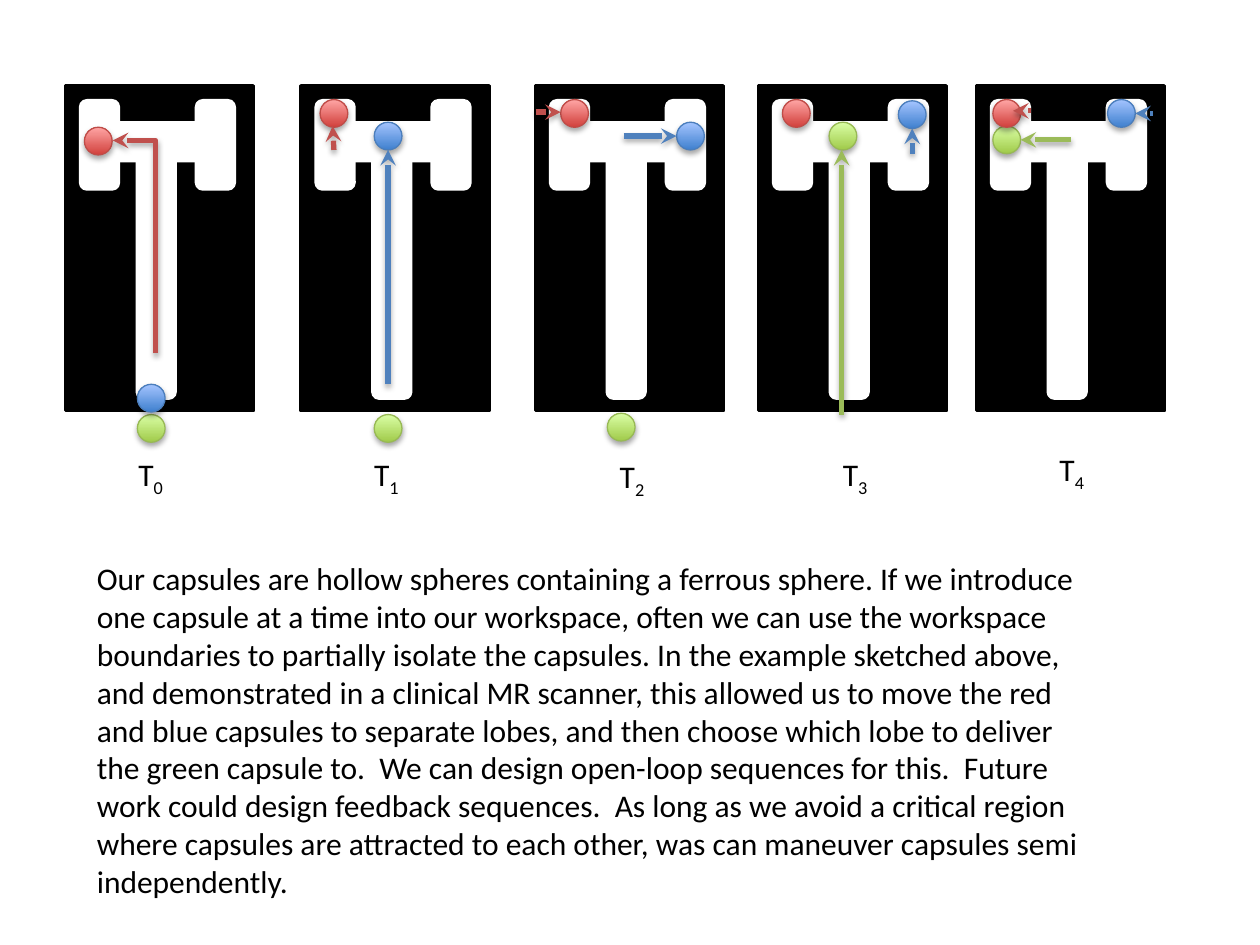
from lxml import etree
from pptx import Presentation
from pptx.dml.color import RGBColor
from pptx.enum.shapes import MSO_CONNECTOR, MSO_SHAPE
from pptx.enum.text import MSO_AUTO_SIZE
from pptx.oxml.ns import qn
from pptx.util import Inches, Pt

RECT, ROUND, OVAL = MSO_SHAPE.RECTANGLE, MSO_SHAPE.ROUNDED_RECTANGLE, MSO_SHAPE.OVAL
STRAIGHT, ELBOW = MSO_CONNECTOR.STRAIGHT, MSO_CONNECTOR.ELBOW
FIT = MSO_AUTO_SIZE.SHAPE_TO_FIT_TEXT

COLORS = {
    "black": "000000", "white": "FFFFFF",
    "red": "C0504D", "red low": "D1403C", "red high": "FFA6A5", "red edge": "BF4C48",
    "blue": "4F81BD", "blue low": "3F80CE", "blue high": "A4C4FF", "blue edge": "4B7EBC",
    "green": "9BBB59", "green low": "A0CA4A", "green high": "DAFFA5", "green edge": "98B955",
}
TOP, WIDE, HIGH, BALL = 0.68, 1.49, 2.58, 0.22

# Channels of the T maze: left, top, width, height, turn
CHANNELS = [
    (0.57, 0.3, 0.3, 2.18, 0),
    (0.54, -0.1, 0.3, 1.09, 90),
    (1.04, 0.12, 0.3, 0.7, 0),
    (0.12, 0.12, 0.3, 0.7, 0),
]

# Steps, all measured from the corner of each maze
STEPS = [
    dict(left=0.52, label=(0.48, 2.88),
         balls=[("red", 0.15, 0.33), ("green", 0.57, 2.61), ("blue", 0.57, 2.37)],
         moves=[]),
    dict(left=2.39, label=(0.48, 2.88),
         balls=[("green", 0.58, 2.61), ("blue", 0.58, 0.29), ("red", 0.15, 0.11)],
         moves=[("red", 0.26, 0.51, 0.25, 0.32), ("blue", 0.69, 2.37, 0.69, 0.51)]),
    dict(left=4.25, label=(0.57, 2.9),
         balls=[("green", 0.57, 2.6), ("blue", 1.12, 0.29), ("red", 0.2, 0.11)],
         moves=[("blue", 0.7, 0.4, 1.12, 0.4), ("red", 0, 0.21, 0.2, 0.21)]),
    dict(left=6.02, label=(0.57, 2.88),
         balls=[("green", 0.56, 0.29), ("blue", 1.11, 0.12), ("red", 0.19, 0.11)],
         moves=[("blue", 1.22, 0.54, 1.22, 0.34), ("green", 0.66, 2.61, 0.66, 0.51)]),
    dict(left=7.75, label=(0.56, 2.84),
         balls=[("green", 0.13, 0.32), ("blue", 1.04, 0.11), ("red", 0.13, 0.11)],
         moves=[("blue", 1.4, 0.22, 1.26, 0.22), ("red", 0.43, 0.2, 0.29, 0.2),
                ("green", 0.75, 0.43, 0.35, 0.43)]),
]

BODY = (
    "Our capsules are hollow spheres containing a ferrous sphere. If we introduce one "
    "capsule at a time into our workspace, often we can use the workspace boundaries to "
    "partially isolate the capsules. In the example sketched above, and demonstrated in a "
    "clinical MR scanner, this allowed us to move the red and blue capsules to separate "
    "lobes, and then choose which lobe to deliver the green capsule to.  We can design "
    "open-loop sequences for this.  Future work could design feedback sequences.  As long "
    "as we avoid a critical region where capsules are attracted to each other, was can "
    "maneuver capsules semi independently."
)


def rgb(name):
    return RGBColor.from_string(COLORS[name])


def stroke(item, color, width):
    item.line.color.rgb = rgb(color)
    item.line.width = Pt(width)


def shade(item):
    """Give a shape or connector a soft drop shadow."""
    props = item._element.spPr
    effects = props.find(qn("a:effectLst"))
    if effects is None:
        effects = etree.SubElement(props, qn("a:effectLst"))
    drop = etree.SubElement(effects, qn("a:outerShdw"), blurRad="40000", dist="23000",
                            dir="5400000", rotWithShape="0")
    tint = etree.SubElement(drop, qn("a:srgbClr"), val=COLORS["black"])
    etree.SubElement(tint, qn("a:alpha"), val="35000")


def block(shapes, kind, box, color, turn=0):
    item = shapes.add_shape(kind, *map(Inches, box))
    item.shadow.inherit = False
    item.fill.solid()
    item.fill.fore_color.rgb = rgb(color)
    stroke(item, color, 2)
    item.rotation = turn


def maze(slide, left, top):
    shapes = slide.shapes.add_group_shape().shapes
    block(shapes, RECT, (left, top, WIDE, HIGH), "black")
    for x, y, wide, high, turn in CHANNELS:
        block(shapes, ROUND, (left + x, top + y, wide, high), "white", turn)


def ball(slide, color, left, top):
    item = slide.shapes.add_shape(OVAL, *map(Inches, (left, top, BALL, BALL)))
    item.shadow.inherit = False
    item.fill.gradient()
    item.fill.gradient_angle = 90
    for stop, tone in zip(item.fill.gradient_stops, ("low", "high")):
        stop.color.rgb = rgb(f"{color} {tone}")
    stroke(item, f"{color} edge", 0.75)
    shade(item)


def arrow(slide, color, ends, kind=STRAIGHT):
    item = slide.shapes.add_connector(kind, *map(Inches, ends))
    stroke(item, color, 3)
    etree.SubElement(item.line._get_or_add_ln(), qn("a:tailEnd"), type="stealth")
    shade(item)
    return item


def bend(slide, left, top):
    """Arrow up the stem and left into the lobe: one elbow, turned upright."""
    ends = (left - 0.3, top + 1.45, left + 1.39, top + 1.11)
    props = arrow(slide, "red", ends, ELBOW)._element.spPr
    props.find(qn("a:prstGeom")).set("prst", "bentConnector2")
    props.find(qn("a:xfrm")).set("rot", "16200000")


def write(slide, text, box, sub="", size=18, wrap=True):
    frame = slide.shapes.add_textbox(*map(Inches, box)).text_frame
    frame.word_wrap = wrap
    frame.auto_size = FIT
    for part in filter(None, (text, sub)):
        run = frame.paragraphs[0].add_run()
        run.text = part
        run.font.name = "Calibri"
        run.font.size = Pt(size)
        run.font.color.rgb = rgb("black")
    if sub:
        run.font._element.set("baseline", "-25000")


def step(slide, index, left, top, label, balls, moves):
    maze(slide, left, top)
    for color, x, y in balls:
        ball(slide, color, left + x, top + y)
    for color, x1, y1, x2, y2 in moves:
        arrow(slide, color, (left + x1, top + y1, left + x2, top + y2))
    write(slide, "T", (left + label[0], top + label[1], 0.41, 0.4),
          sub=str(index), wrap=False)


deck = Presentation()
deck.slide_width, deck.slide_height = Inches(10), Inches(7.5)
page = deck.slides.add_slide(deck.slide_layouts[6])

# Five time steps
for index, data in enumerate(STEPS):
    step(page, index, top=TOP, **data)
bend(page, STEPS[0]["left"], TOP)

# Explanation
write(page, BODY, (0.67, 4.39, 8.05, 2.83))

deck.save("out.pptx")
